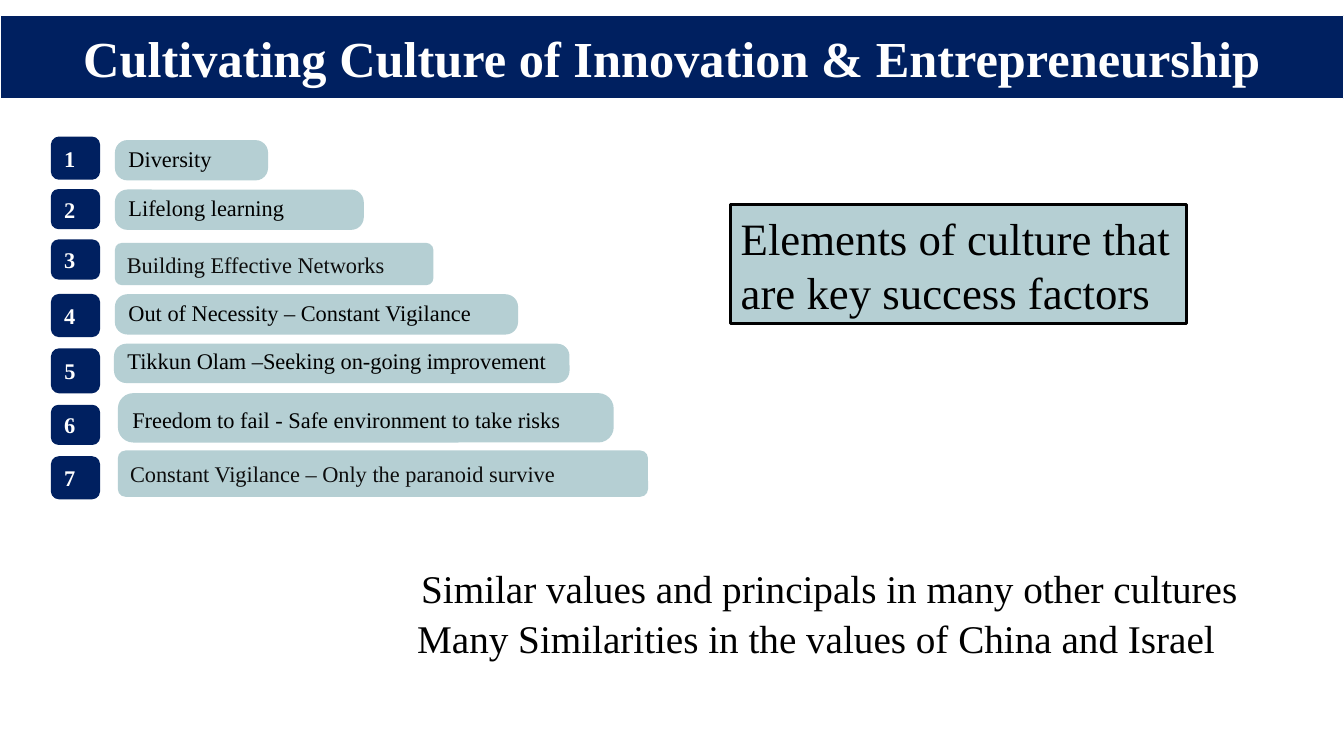
from dataclasses import dataclass
from typing import Optional

from lxml.etree import SubElement
from pptx import Presentation
from pptx.dml.color import RGBColor
from pptx.enum.shapes import MSO_SHAPE as SHAPE
from pptx.enum.text import MSO_ANCHOR as ANCHOR, MSO_AUTO_SIZE as AUTO, PP_ALIGN as ALIGN
from pptx.oxml.ns import qn
from pptx.util import Pt

FONT = "Times New Roman"
NAVY, TEAL, WHITE, BLACK, INK = "002060", "B5CFD3", "FFFFFF", "000000", "0D0D0D"
BADGE_LEFT, BADGE_WIDTH = 37.4, 33.1


@dataclass
class Box:
    left: float
    top: float
    width: float
    height: float


@dataclass
class Style:
    size: float
    color: str = BLACK
    bold: bool = False
    anchor: ANCHOR = ANCHOR.MIDDLE
    align: ALIGN = ALIGN.LEFT
    spacing: Optional[float] = None
    auto: AUTO = AUTO.NONE


@dataclass
class Element:
    text: str
    badge_top: float
    badge_height: float
    bar: Box
    style: Style
    radius: float = 0.167


BADGE = Style(16, WHITE, bold=True)
LOOSE = Style(16, anchor=ANCHOR.BOTTOM, spacing=1.5)
LOW = Style(16, INK, anchor=ANCHOR.BOTTOM)
MID = Style(16, INK)
NOTE = Style(28, auto=AUTO.SHAPE_TO_FIT_TEXT)
CALLOUT = Style(32, auto=AUTO.SHAPE_TO_FIT_TEXT)
TITLE = Style(36, WHITE, bold=True, align=ALIGN.CENTER)

ELEMENTS = [
    Element("Diversity", 98.6, 28.8, Box(82.1, 100.1, 109.4, 28.8), LOOSE, 0.312),
    Element("Lifelong learning", 136.1, 26.6, Box(82.1, 135.4, 177.8, 28.8), LOOSE, 0.312),
    Element("Building Effective Networks", 172.1, 26.6, Box(82.1, 173.5, 227.5, 30.2), LOW),
    Element("Out of Necessity – Constant Vigilance", 211, 28.8,
            Box(82.1, 210.2, 288, 28.8), LOOSE, 0.312),
    Element("Tikkun Olam –Seeking on-going improvement", 249.8, 30.2,
            Box(81.4, 245.5, 325.4, 28.1), LOOSE, 0.312),
    Element("Freedom to fail - Safe environment to take risks", 290.2, 26.6,
            Box(84.2, 280.8, 354.2, 35.3), LOOSE, 0.312),
    Element("Constant Vigilance – Only the paranoid survive", 326.9, 28.8,
            Box(84.2, 321.8, 378.7, 33.1), MID),
]

NOTES = [
    ("Similar values and principals in many other cultures", Box(293.8, 399.6, 609.8, 41)),
    ("Many Similarities in the values of China and Israel", Box(290.9, 434.9, 609.8, 41)),
]


def rgb(color: str) -> RGBColor:
    return RGBColor.from_string(color)


def lengths(box: Box) -> tuple:
    return Pt(box.left), Pt(box.top), Pt(box.width), Pt(box.height)


def write(sp, text: str, style: Style) -> None:
    tf = sp.text_frame
    tf.word_wrap = True
    tf.auto_size = style.auto
    tf.vertical_anchor = style.anchor
    p = tf.paragraphs[0]
    p.alignment = style.align
    if style.spacing:
        p.line_spacing = style.spacing
    r = p.add_run()
    r.text = text
    r.font.name = FONT
    r.font.size = Pt(style.size)
    r.font.bold = style.bold
    r.font.color.rgb = rgb(style.color)


def paint(sp, fill: str, line: Optional[str] = None, width: float = 0) -> None:
    sp.fill.solid()
    sp.fill.fore_color.rgb = rgb(fill)
    if line:
        sp.line.color.rgb = rgb(line)
        sp.line.width = Pt(width)
    else:
        sp.line.fill.background()


def add_panel(slide, kind: SHAPE, box: Box, fill: str, text: str, style: Style,
              line: Optional[str] = None, width: float = 0, radius: float = 0.167) -> None:
    sp = slide.shapes.add_shape(kind, *lengths(box))
    sp.shadow.inherit = False
    if kind == SHAPE.ROUNDED_RECTANGLE:
        sp.adjustments[0] = radius
    paint(sp, fill, line, width)
    write(sp, text, style)


def add_title(slide, text: str, box: Box) -> None:
    sp = slide.shapes.title
    sp.left, sp.top, sp.width, sp.height = lengths(box)
    geometry = SubElement(sp.element.spPr, qn("a:prstGeom"), prst="roundRect")
    SubElement(geometry, qn("a:avLst"))
    paint(sp, NAVY, WHITE, 0.75)
    write(sp, text, TITLE)


def main() -> None:
    prs = Presentation()
    prs.slide_width, prs.slide_height = Pt(960), Pt(540)
    slide = prs.slides.add_slide(prs.slide_layouts[5])
    add_title(slide, "Cultivating Culture of Innovation & Entrepreneurship",
              Box(0, 10.8, 960, 59.8))
    for number, item in enumerate(ELEMENTS, 1):
        badge = Box(BADGE_LEFT, item.badge_top, BADGE_WIDTH, item.badge_height)
        add_panel(slide, SHAPE.ROUNDED_RECTANGLE, badge, NAVY, str(number), BADGE, NAVY, 2)
        add_panel(slide, SHAPE.ROUNDED_RECTANGLE, item.bar, TEAL, item.text, item.style,
                  radius=item.radius)
    add_panel(slide, SHAPE.RECTANGLE, Box(522, 146.2, 325.4, 85), TEAL,
              "Elements of culture that are key success factors", CALLOUT, BLACK, 2.25)
    for text, box in NOTES:
        write(slide.shapes.add_textbox(*lengths(box)), text, NOTE)
    prs.save("out.pptx")


if __name__ == "__main__":
    main()
